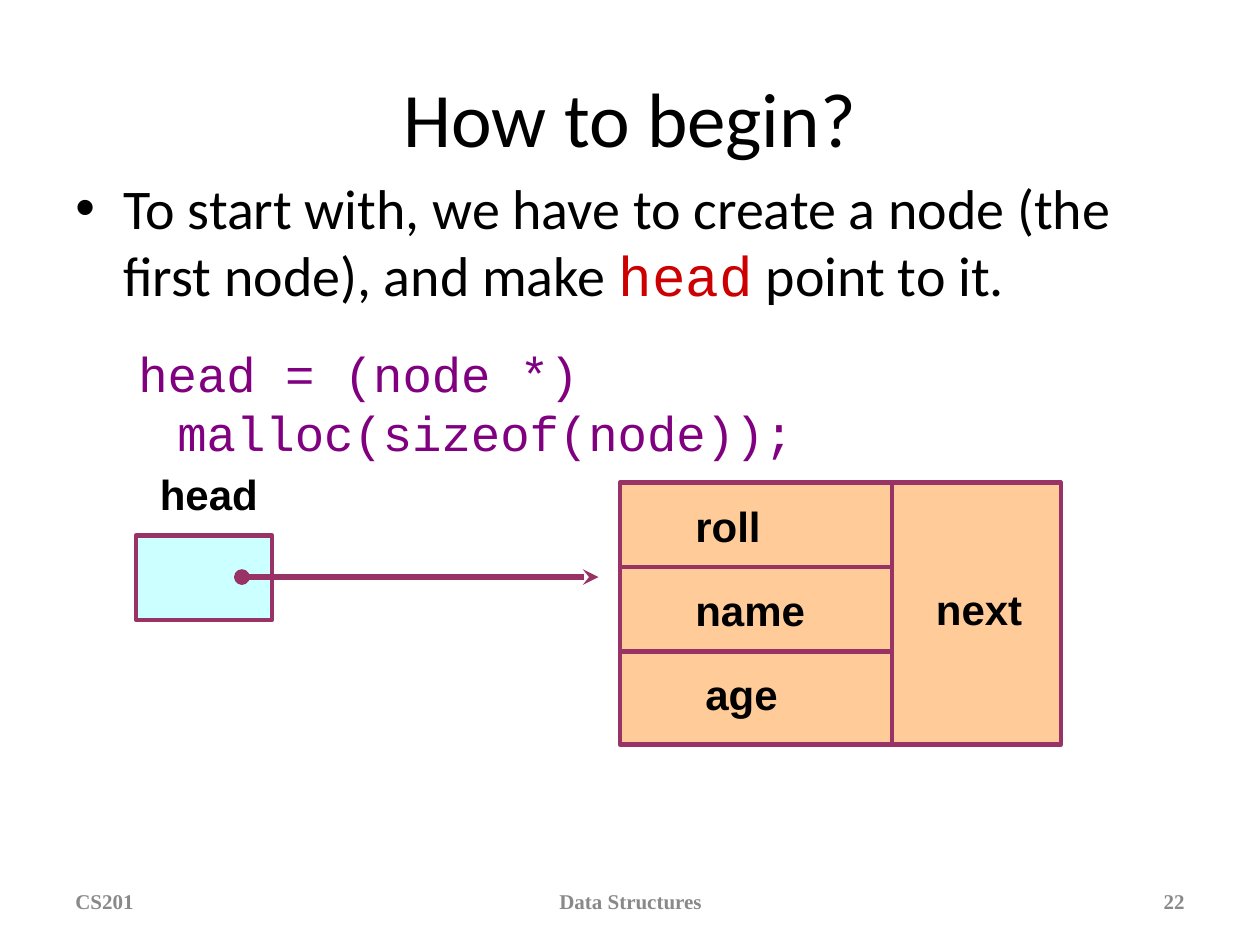
import pptx
import pptx.dml.color
import pptx.enum.shapes
import pptx.enum.text
import pptx.util
from lxml import etree
from pptx.oxml.ns import qn

Inches = pptx.util.Inches
Pt = pptx.util.Pt
RGBColor = pptx.dml.color.RGBColor
ALIGN = pptx.enum.text.PP_ALIGN
ANCHOR = pptx.enum.text.MSO_ANCHOR

BLACK = RGBColor(0x00, 0x00, 0x00)
RED = RGBColor(0xCC, 0x00, 0x00)
PURPLE = RGBColor(0x80, 0x00, 0x80)
GRAY = RGBColor(0x89, 0x89, 0x89)
PLUM = RGBColor(0x99, 0x33, 0x66)
PEACH = RGBColor(0xFF, 0xCC, 0x99)
CYAN = RGBColor(0xCC, 0xFF, 0xFF)


class SlideBuilder:
    heading_font = "Calibri"
    code_font = "Courier New"
    label_font = "Arial"
    footer_font = "Times New Roman"
    line_color = PLUM
    line_width = 2.5

    def __init__(self, slide):
        self.slide = slide

    def text_frame(self, left, top, width, height, anchor=ANCHOR.TOP):
        box = self.slide.shapes.add_textbox(
            Inches(left), Inches(top), Inches(width), Inches(height))
        frame = box.text_frame
        frame.word_wrap = True
        frame.vertical_anchor = anchor
        return frame

    def run(self, paragraph, text, font, size, color=BLACK, bold=False):
        run = paragraph.add_run()
        run.text = text
        run.font.name = font
        run.font.size = Pt(size)
        run.font.color.rgb = color
        run.font.bold = bold

    def hanging(self, paragraph, margin, hang, bullet=None):
        """Indent a paragraph with a hanging first line and an optional bullet."""
        properties = paragraph._p.get_or_add_pPr()
        properties.set("marL", str(Inches(margin)))
        properties.set("indent", str(-Inches(hang)))
        if bullet:
            etree.SubElement(properties, qn("a:buFont")).set("typeface", self.label_font)
            etree.SubElement(properties, qn("a:buChar")).set("char", bullet)

    def title(self, text):
        paragraph = self.text_frame(0.5, 0.3, 9, 1.25, ANCHOR.MIDDLE).paragraphs[0]
        paragraph.alignment = ALIGN.CENTER
        self.run(paragraph, text, self.heading_font, 44)

    def footer(self, text, left, width, alignment):
        paragraph = self.text_frame(left, 6.95, width, 0.4, ANCHOR.MIDDLE).paragraphs[0]
        paragraph.alignment = alignment
        self.run(paragraph, text, self.footer_font, 12, GRAY, True)

    def label(self, text, left, top, width=1.67):
        paragraph = self.text_frame(left, top, width, 0.5).paragraphs[0]
        self.run(paragraph, text, self.label_font, 24, bold=True)

    def rectangle(self, left, top, width, height, fill):
        shape = self.slide.shapes.add_shape(
            pptx.enum.shapes.MSO_SHAPE.RECTANGLE,
            Inches(left), Inches(top), Inches(width), Inches(height))
        shape.shadow.inherit = False
        shape.fill.solid()
        shape.fill.fore_color.rgb = fill
        shape.line.color.rgb = self.line_color
        shape.line.width = Pt(self.line_width)

    def line(self, x1, y1, x2, y2):
        connector = self.slide.shapes.add_connector(
            pptx.enum.shapes.MSO_CONNECTOR.STRAIGHT,
            Inches(x1), Inches(y1), Inches(x2), Inches(y2))
        connector.line.color.rgb = self.line_color
        connector.line.width = Pt(self.line_width)
        etree.SubElement(connector._element.spPr, qn("a:effectLst"))
        return connector

    def pointer(self, x1, y1, x2, y2):
        """Draw an arrow that starts with a dot."""
        connector = self.line(x1, y1, x2, y2)
        connector.line.width = Pt(3)
        outline = connector.line._get_or_add_ln()
        for end, kind in (("a:headEnd", "oval"), ("a:tailEnd", "stealth")):
            etree.SubElement(outline, qn(end)).set("type", kind)


def main():
    presentation = pptx.Presentation()
    presentation.slide_width = Inches(10)
    presentation.slide_height = Inches(7.5)
    builder = SlideBuilder(presentation.slides.add_slide(presentation.slide_layouts[6]))

    builder.title("How to begin?")

    body = builder.text_frame(0.5, 1.33, 9, 5.17)
    intro = body.paragraphs[0]
    builder.hanging(intro, 0.38, 0.38, "•")
    builder.run(intro, "To start with, we have to create a node (the first node), and make ",
                builder.heading_font, 32)
    builder.run(intro, "head", builder.code_font, 32, RED)
    builder.run(intro, " point to it.", builder.heading_font, 32)
    code = body.add_paragraph()
    builder.hanging(code, 0.81, 0.31)
    code.space_before = Pt(20)
    builder.run(code, "head = (node *) malloc(sizeof(node));", builder.code_font, 28, PURPLE)

    builder.footer("CS201", 0.5, 2.33, ALIGN.LEFT)
    builder.footer("Data Structures", 3.42, 3.17, ALIGN.CENTER)
    builder.footer("22", 7.17, 2.33, ALIGN.RIGHT)

    node_left, node_top, node_width, node_height = 4.92, 3.83, 3.5, 2.08
    divider, row_height = 7.08, 0.67
    builder.rectangle(node_left, node_top, node_width, node_height, PEACH)
    builder.line(divider, node_top, divider, node_top + node_height)
    for row in (1, 2):
        y = node_top + row * row_height
        builder.line(node_left, y, divider, y)
    for row, (field, left) in enumerate((("roll", 5.42), ("name", 5.42), ("age", 5.5))):
        builder.label(field, left, 3.92 + row * row_height)
    builder.label("next", 7.33, 4.58)

    builder.rectangle(1.08, 4.25, 1.08, row_height, CYAN)
    builder.label("head", 1.17, 3.67, 1.17)
    builder.pointer(1.92, 4.58, 4.75, 4.58)

    presentation.save("out.pptx")


if __name__ == "__main__":
    main()
